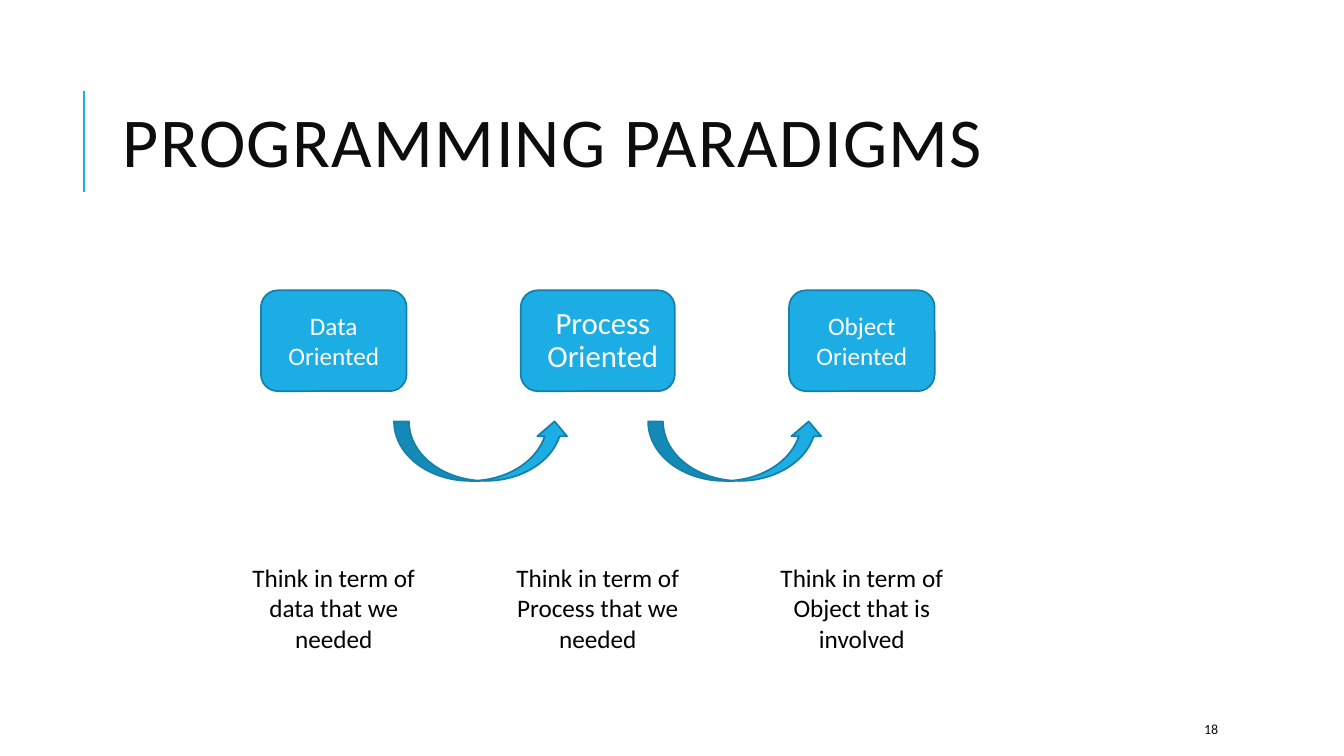
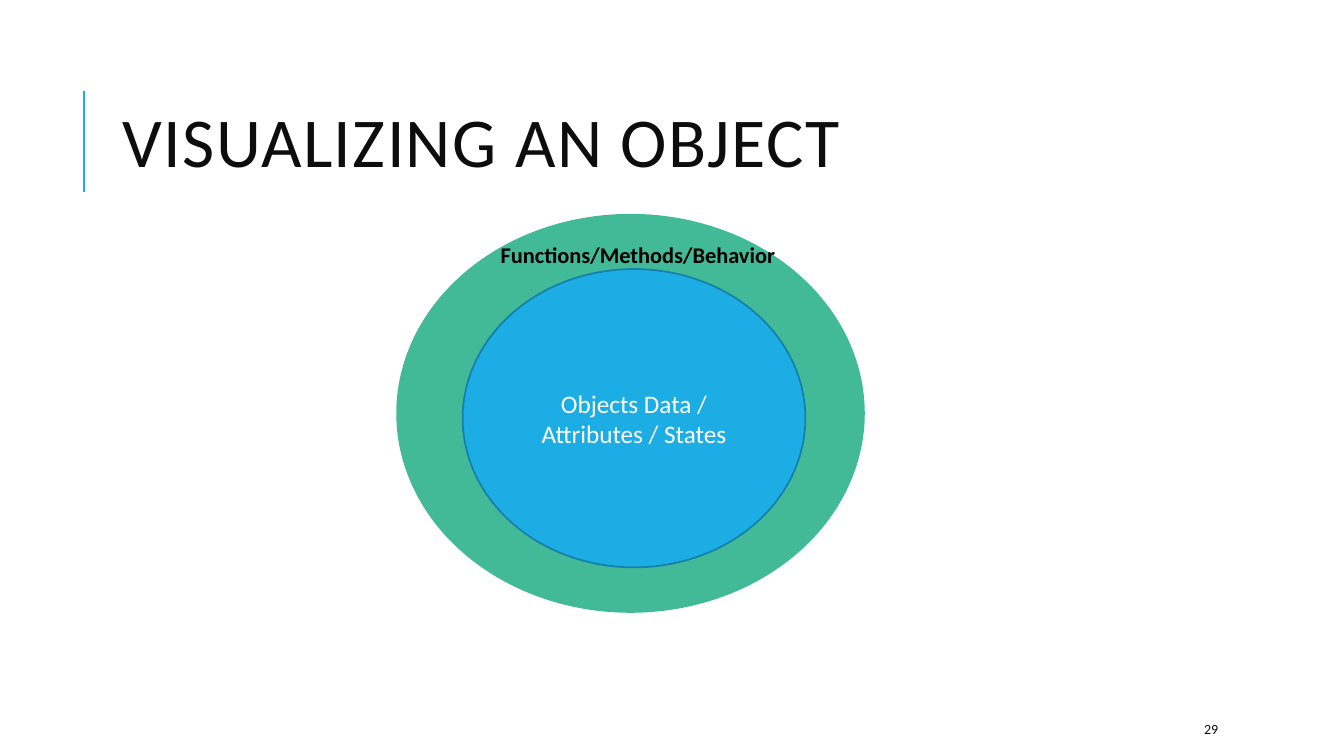
"""Build two slides on programming paradigms and the parts of an object."""
from pptx import Presentation
from pptx.dml.color import RGBColor
from pptx.enum.shapes import MSO_CONNECTOR, MSO_SHAPE
from pptx.enum.text import MSO_ANCHOR, MSO_AUTO_SIZE, PP_ALIGN
from pptx.oxml.ns import qn
from pptx.util import Pt
from lxml.etree import SubElement

BLUE = RGBColor(0x1C, 0xAD, 0xE4)
DARK_BLUE = RGBColor(0x15, 0x80, 0xA9)
GREEN = RGBColor(0x42, 0xBA, 0x97)
INK = RGBColor(0x0D, 0x0D, 0x0D)
BLACK = RGBColor(0, 0, 0)
WHITE = RGBColor(0xFF, 0xFF, 0xFF)
FONT = "Calibri"


def write(box, text, size, color, align=PP_ALIGN.CENTER, anchor=MSO_ANCHOR.MIDDLE):
    """Put one formatted run in a box and return its paragraph and run."""
    frame = box.text_frame
    frame.word_wrap = True
    frame.auto_size = MSO_AUTO_SIZE.NONE
    frame.vertical_anchor = anchor
    para = frame.paragraphs[0]
    para.alignment = align
    span = para.add_run()
    span.text = text
    span.font.name = FONT
    span.font.size = Pt(size)
    span.font.color.rgb = color
    return para, span


def add_solid(page, kind, left, top, width, height, fill=BLUE, outline=DARK_BLUE):
    """Add a flat outlined shape."""
    shape = page.shapes.add_shape(kind, Pt(left), Pt(top), Pt(width), Pt(height))
    shape.shadow.inherit = False
    shape.fill.solid()
    shape.fill.fore_color.rgb = fill
    shape.line.color.rgb = outline
    shape.line.width = Pt(1.25)
    return shape


deck = Presentation()
deck.slide_width, deck.slide_height = Pt(960), Pt(540)

pages = []
for heading, number in [("PROGRAMMING PARADIGMS", "18"), ("VISUALIZING AN OBJECT", "29")]:
    page = deck.slides.add_slide(deck.slide_layouts[5])
    pages.append(page)

    title = page.shapes.title
    title.left, title.top, title.width, title.height = Pt(80.6), Pt(46), Pt(765.4), Pt(118)
    para, span = write(title, heading, 50, INK, PP_ALIGN.LEFT)
    para.line_spacing = 0.8
    span.font._element.set("spc", "100")

    rule = page.shapes.add_connector(MSO_CONNECTOR.STRAIGHT, Pt(60), Pt(137), Pt(60), Pt(65))
    rule.line.color.rgb = BLUE
    rule.line.width = Pt(1.5)
    SubElement(rule._element.spPr, qn("a:effectLst"))

    footer = page.shapes.add_textbox(Pt(853), Pt(509.5), Pt(76.5), Pt(22))
    write(footer, number, 10, INK, PP_ALIGN.LEFT)

paradigm_page, object_page = pages

PITCH = 188.6
FIRST_CENTER = 238.4
paradigms = [
    ("Data Oriented", 104, 18, "Think in term of data that we needed"),
    ("Process Oriented", 110, 22, "Think in term of Process that we needed"),
    ("Object Oriented", 104, 18, "Think in term of Object that is involved"),
]
for index, (name, width, size, description) in enumerate(paradigms):
    center = FIRST_CENTER + index * PITCH
    card = add_solid(paradigm_page, MSO_SHAPE.ROUNDED_RECTANGLE,
                     center - width / 2, 207.4, width, 72)
    para, span = write(card, name, size, WHITE)
    if size == 22:
        frame = card.text_frame
        frame.margin_left = frame.margin_right = Pt(3.6)
        para._p.get_or_add_pPr().set("marL", str(Pt(7.2)))
        para.line_spacing = 0.9
        para.space_after = Pt(2)
    note = paradigm_page.shapes.add_textbox(Pt(center - 67), Pt(398.2), Pt(134), Pt(72.7))
    write(note, description, 18, BLACK, anchor=MSO_ANCHOR.TOP)

for left in (281.5, 463):
    add_solid(paradigm_page, MSO_SHAPE.CURVED_UP_ARROW, left, 301, 125.3, 42.5)

add_solid(object_page, MSO_SHAPE.OVAL, 283.7, 153.4, 333.4, 283.7, GREEN, GREEN)
core = add_solid(object_page, MSO_SHAPE.OVAL, 330.5, 192.2, 244.8, 213.1)
write(core, "Objects Data / Attributes / States", 18, WHITE)
label = object_page.shapes.add_textbox(Pt(350.6), Pt(168.5), Pt(260.6), Pt(26.6))
para, span = write(label, "Functions/Methods/Behavior", 16, BLACK, PP_ALIGN.LEFT, MSO_ANCHOR.TOP)
span.font.bold = True

deck.save("out.pptx")
